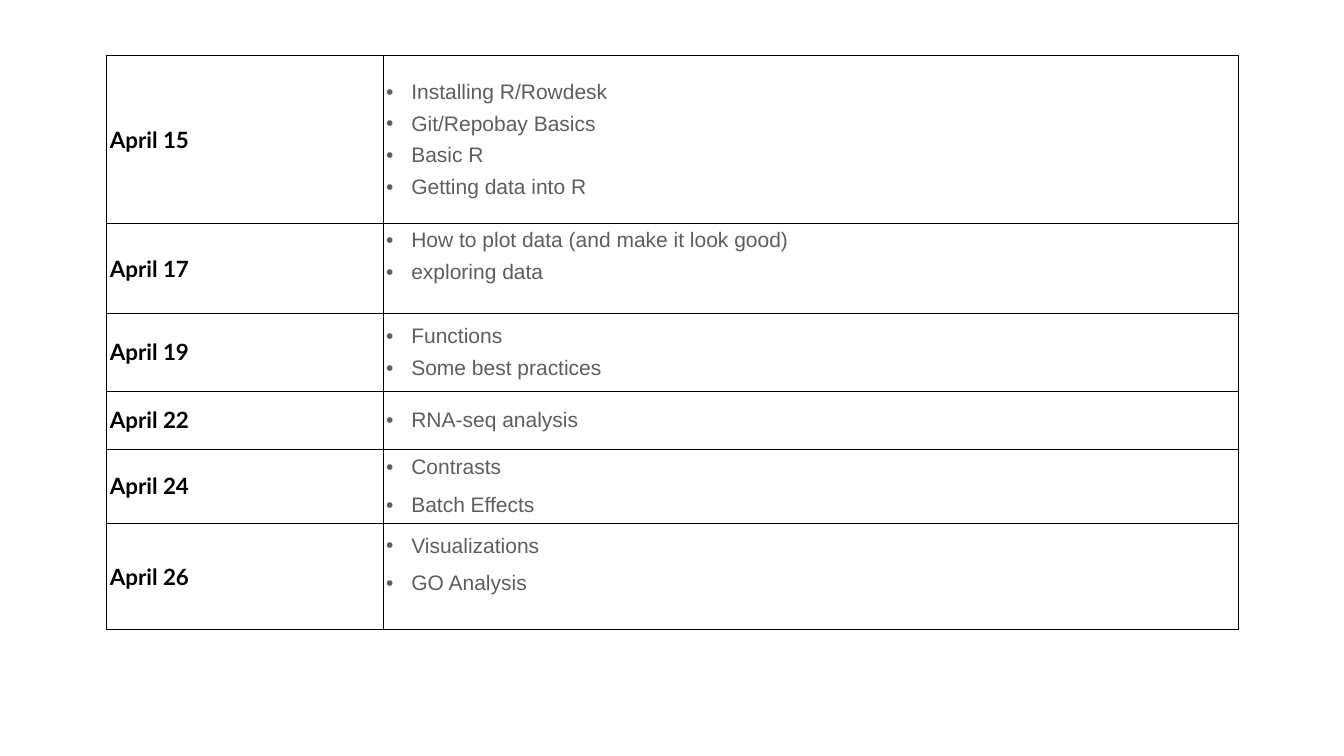
from dataclasses import dataclass

from lxml import etree
from pptx import Presentation
from pptx.dml.color import RGBColor
from pptx.enum.text import MSO_ANCHOR
from pptx.oxml.ns import qn
from pptx.util import Inches, Pt

MIDDLE = MSO_ANCHOR.MIDDLE

# Content: date, topics, row height (in), space before topics (pt), bottom inset (in)
SCHEDULE = [
    ("April 15", ["Installing R/Rowdesk", "Git/Repobay Basics", "Basic R",
                  "Getting data into R"], 1.67, 6, 0.03),
    ("April 17", ["How to plot data (and make it look good)",
                  "exploring data"], 0.89, 6, 0.27),
    ("April 19", ["Functions", "Some best practices"], 0.77, 6, 0.03),
    ("April 22", ["RNA-seq analysis"], 0.58, 10, 0.03),
    ("April 24", ["Contrasts", "Batch Effects"], 0.73, 10, 0.03),
    ("April 26", ["Visualizations", "GO Analysis"], 1.06, 10, 0.27),
]
COLUMN_WIDTHS = (2.74, 8.48)
TABLE_LEFT, TABLE_TOP = 1.06, 0.55
INSET = 0.03
BULLET_INDENT = 0.25


@dataclass(frozen=True)
class Theme:
    date_font: str = "Lato"
    date_size: int = 16
    date_color: str = "000000"
    topic_font: str = "Arial"
    topic_size: int = 15
    topic_color: str = "5E5E5E"
    border_color: str = "000000"
    border_width: float = 0.75


THEME = Theme()


def add_borders(cell):
    properties = cell._tc.get_or_add_tcPr()
    for position, side in enumerate(("a:lnL", "a:lnR", "a:lnT", "a:lnB")):
        line = etree.Element(qn(side), w=str(Pt(THEME.border_width)))
        fill = etree.SubElement(line, qn("a:solidFill"))
        etree.SubElement(fill, qn("a:srgbClr"), val=THEME.border_color)
        properties.insert(position, line)


def add_bullet(paragraph):
    properties = paragraph._p.get_or_add_pPr()
    properties.set("marL", str(Inches(BULLET_INDENT)))
    properties.set("indent", str(-Inches(BULLET_INDENT)))
    etree.SubElement(properties, qn("a:buFont"), typeface=THEME.topic_font)
    etree.SubElement(properties, qn("a:buChar"), char="•")


def format_runs(paragraph, name, size, color, bold):
    for run in paragraph.runs:
        run.font.name = name
        run.font.size = Pt(size)
        run.font.bold = bold
        run.font.color.rgb = RGBColor.from_string(color)


def format_cell(cell, bottom_inset):
    cell.fill.background()
    cell.vertical_anchor = MIDDLE
    cell.margin_left = cell.margin_right = cell.margin_top = Inches(INSET)
    cell.margin_bottom = Inches(bottom_inset)
    add_borders(cell)


def fill_row(table, index, date, topics, space_before, bottom_inset):
    # Date
    date_cell = table.cell(index, 0)
    date_cell.text_frame.text = date
    format_runs(date_cell.text_frame.paragraphs[0], THEME.date_font,
                THEME.date_size, THEME.date_color, True)
    format_cell(date_cell, INSET)

    # Bulleted topics
    topic_cell = table.cell(index, 1)
    topic_cell.text_frame.text = "\n".join(topics)
    for paragraph in topic_cell.text_frame.paragraphs:
        paragraph.space_before = Pt(space_before)
        add_bullet(paragraph)
        format_runs(paragraph, THEME.topic_font, THEME.topic_size,
                    THEME.topic_color, False)
    format_cell(topic_cell, bottom_inset)


def main():
    presentation = Presentation()
    presentation.slide_width = Inches(13.33)
    presentation.slide_height = Inches(7.5)
    slide = presentation.slides.add_slide(presentation.slide_layouts[6])

    # Schedule table
    table_height = sum(row[2] for row in SCHEDULE)
    table = slide.shapes.add_table(
        len(SCHEDULE), len(COLUMN_WIDTHS), Inches(TABLE_LEFT), Inches(TABLE_TOP),
        Inches(sum(COLUMN_WIDTHS)), Inches(table_height)).table
    table.first_row = False
    table.horz_banding = False
    for column, width in zip(table.columns, COLUMN_WIDTHS):
        column.width = Inches(width)
    for index, (date, topics, height, space_before, bottom) in enumerate(SCHEDULE):
        table.rows[index].height = Inches(height)
        fill_row(table, index, date, topics, space_before, bottom)

    presentation.save("out.pptx")


if __name__ == "__main__":
    main()
